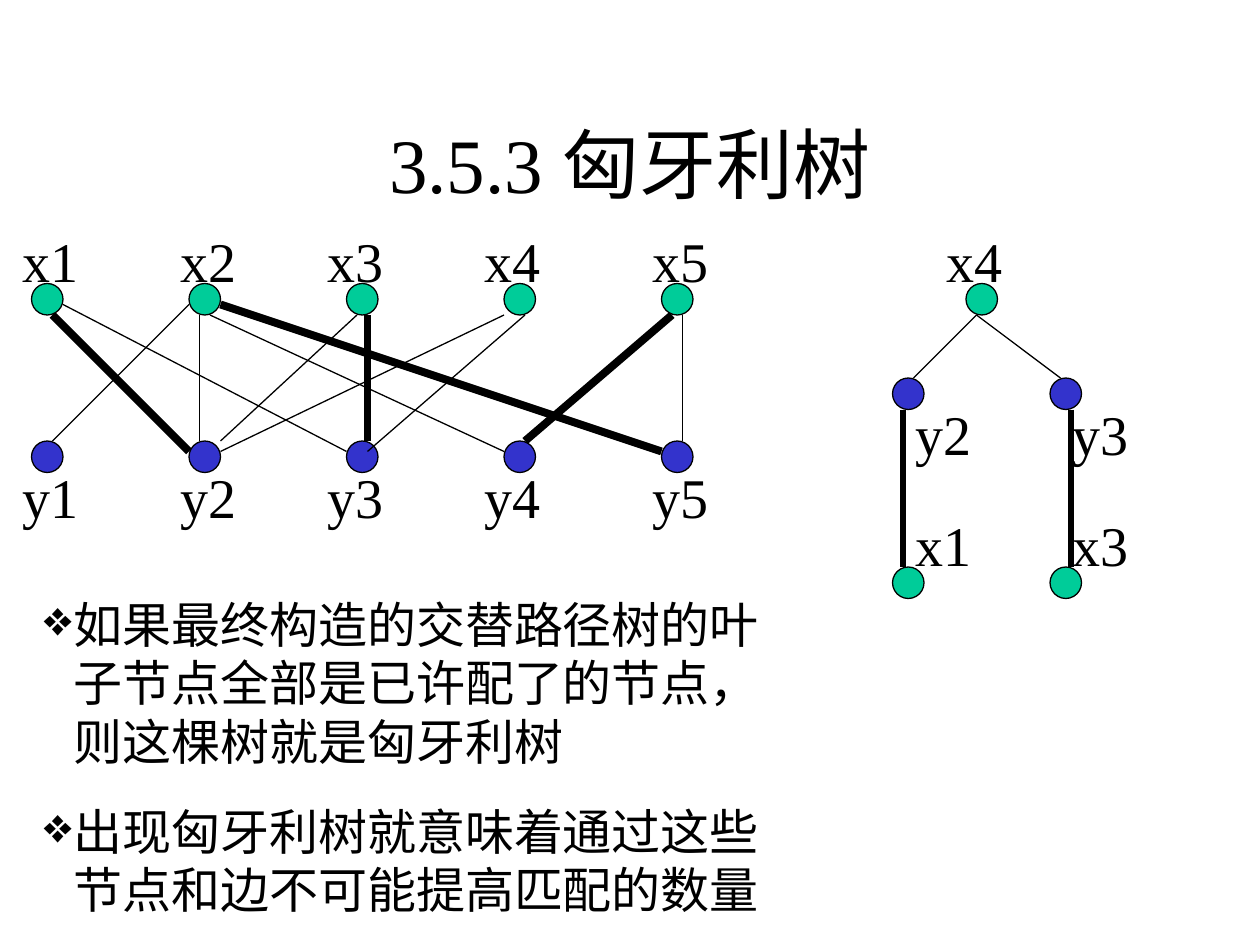
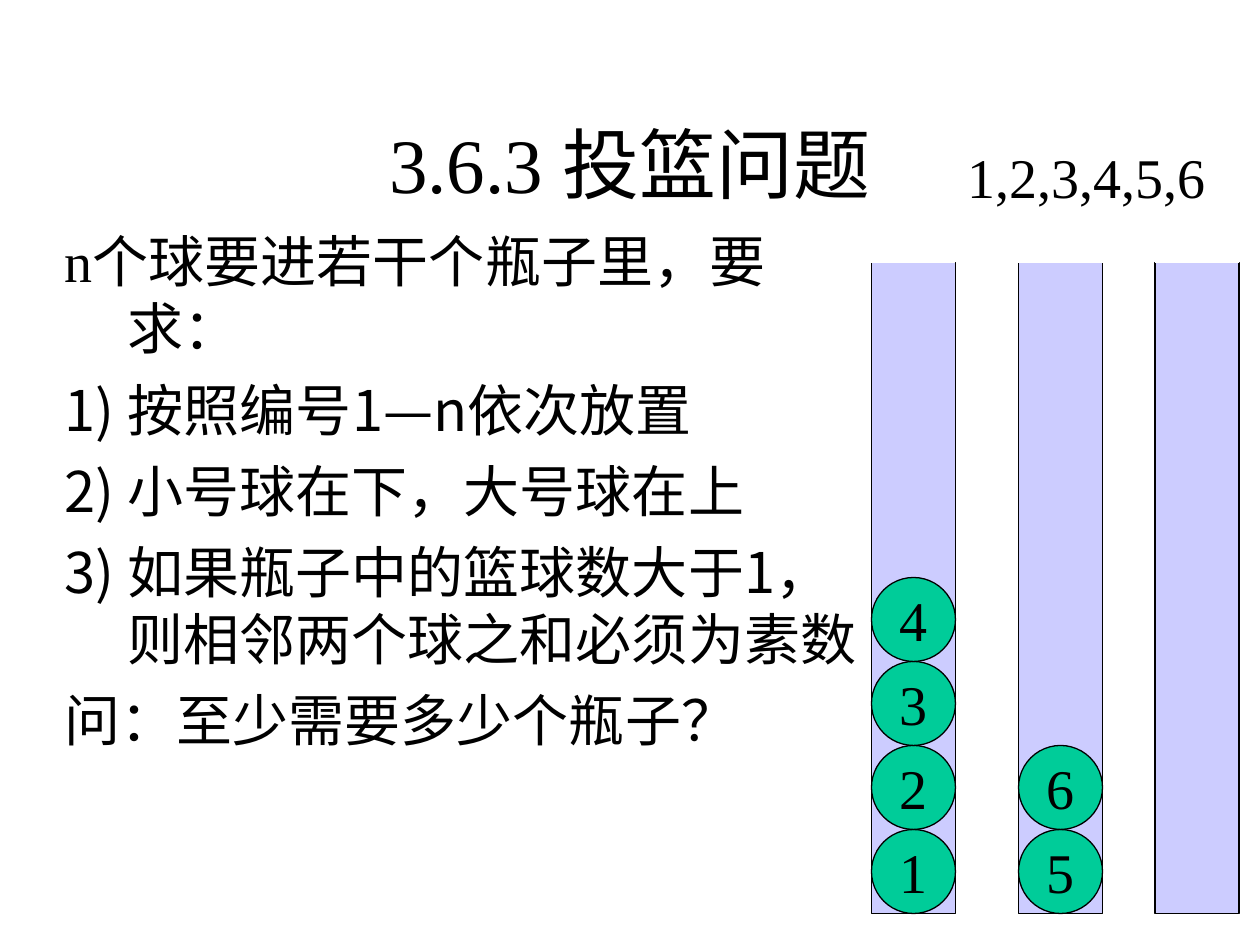
from dataclasses import dataclass

from lxml.etree import SubElement
from pptx import Presentation
from pptx.dml.color import RGBColor
from pptx.enum.shapes import MSO_CONNECTOR, MSO_SHAPE
from pptx.enum.text import MSO_ANCHOR, MSO_AUTO_SIZE, PP_ALIGN
from pptx.oxml.ns import qn
from pptx.util import Pt


@dataclass(frozen=True)
class Theme:
    ink: str = "000000"
    paper: str = "FFFFFF"
    green: str = "00CC99"
    blue: str = "3333CC"
    glass: str = "CCCCFF"
    serif: str = "Times New Roman"
    sans: str = "Noto Sans CJK SC"
    symbol: str = "OpenSymbol"
    title: float = 44
    label: float = 32
    body: float = 28
    leading: float = 1.2
    thin: float = 0.75
    tree_bold: float = 3
    match_bold: float = 4.5


THEME = Theme()

# Content: Hungarian tree
TREE_TITLE = "3.5.3 匈牙利树"
TREE_NOTES = [
    "如果最终构造的交替路径树的叶子节点全部是已许配了的节点，则这棵树就是匈牙利树",
    "出现匈牙利树就意味着通过这些节点和边不可能提高匹配的数量",
]
LABEL_LEFTS = [6, 96, 180, 270, 366]
# Each row: letter, colour, top of nodes, top of labels
GRAPH_ROWS = [("x", THEME.green, 162, 126), ("y", THEME.blue, 252, 261)]
MATCHED_EDGES = [
    (30, 180, 108, 258), (126, 174, 378, 258),
    (210, 180, 210, 252), (384, 180, 300, 252),
]
FREE_EDGES = [
    (36, 174, 198, 258), (108, 174, 30, 252), (120, 180, 288, 258),
    (114, 180, 114, 252), (204, 180, 126, 252), (126, 258, 288, 180),
    (300, 180, 210, 258), (390, 180, 390, 252),
]
# Each node: name, colour, node left and top, label left and top
TREE_NODES = [
    ("x4", THEME.green, 552, 162, 534, 126),
    ("y2", THEME.blue, 510, 216, 516, 225),
    ("y3", THEME.blue, 600, 216, 606, 225),
    ("x1", THEME.green, 510, 324, 516, 288),
    ("x3", THEME.green, 600, 324, 606, 288),
]
TREE_FREE_EDGES = [(558, 180, 522, 216), (558, 180, 606, 216)]
TREE_MATCHED_EDGES = [(516, 234, 516, 324), (612, 234, 612, 324)]

# Content: balls in bottles
BALL_TITLE = "3.6.3 投篮问题"
BALL_SEQUENCE = "1,2,3,4,5,6"
# Each paragraph: text, numbered, font
BALL_RULES = [
    ("n个球要进若干个瓶子里，要求：", False, THEME.serif),
    ("按照编号1—n依次放置", True, THEME.sans),
    ("小号球在下，大号球在上", True, THEME.sans),
    ("如果瓶子中的篮球数大于1，则相邻两个球之和必须为素数", True, THEME.sans),
    ("问：至少需要多少个瓶子？", False, THEME.sans),
]
# Left edge of each bottle and its balls from the bottom up
BOTTLES = [(498, "1234"), (582, "56"), (660, "")]

NODE_SIZE, NODE_LEFT, NODE_STEP = 18, 18, 90
BOTTLE_TOP, BOTTLE_HEIGHT, BALL_SIZE = 150, 372, 48


def points(*values):
    return [Pt(value) for value in values]


def apply(target, formats):
    for name, value in formats.items():
        setattr(target, name, value)


def write(para, text, size, font=THEME.serif, **formats):
    span = para.add_run()
    span.text = text
    apply(span.font, {"size": Pt(size), "name": font})
    span.font.color.rgb = RGBColor.from_string(THEME.ink)
    marks = span._r.get_or_add_rPr()
    marks.set("lang", "zh-CN")
    SubElement(marks, qn("a:ea")).set("typeface", THEME.sans)
    apply(para, {"line_spacing": Pt(size * THEME.leading), **formats})


def hang(para, indent, *marks):
    settings = para._p.get_or_add_pPr()
    for name, value in (("marL", Pt(indent)), ("indent", -Pt(indent)), ("hangingPunct", 0)):
        settings.set(name, str(value))
    for tag, name, value in marks:
        SubElement(settings, qn(tag)).set(name, value)


def add_text(shapes, place, **formats):
    box = shapes.add_textbox(*points(*place))
    apply(box.text_frame, {"word_wrap": True,
                           "auto_size": MSO_AUTO_SIZE.SHAPE_TO_FIT_TEXT, **formats})
    return box.text_frame


def add_label(shapes, text, left, top, width=54):
    frame = add_text(shapes, (left, top, width, 46))
    write(frame.paragraphs[0], text, THEME.label)


def add_title(shapes, text):
    frame = add_text(shapes, (54, 48, 612, 90), auto_size=MSO_AUTO_SIZE.NONE,
                     vertical_anchor=MSO_ANCHOR.MIDDLE)
    write(frame.paragraphs[0], text, THEME.title, alignment=PP_ALIGN.CENTER)


def add_figure(shapes, kind, place, colour):
    figure = shapes.add_shape(kind, *points(*place))
    figure.shadow.inherit = False
    figure.fill.solid()
    figure.fill.fore_color.rgb = RGBColor.from_string(colour)
    figure.line.color.rgb = RGBColor.from_string(THEME.ink)
    figure.line.width = Pt(THEME.thin)
    return figure


def add_node(shapes, left, top, colour):
    add_figure(shapes, MSO_SHAPE.OVAL, (left, top, NODE_SIZE, NODE_SIZE), colour)


def add_edges(shapes, edges, weight=THEME.thin, colour=THEME.ink):
    for ends in edges:
        edge = shapes.add_connector(MSO_CONNECTOR.STRAIGHT, *points(*ends))
        edge.line.color.rgb = RGBColor.from_string(colour)
        edge.line.width = Pt(weight)
        SubElement(edge._element.spPr, qn("a:effectLst"))


def build_tree_page(shapes):
    add_title(shapes, TREE_TITLE)
    # Bipartite graph
    for letter, colour, node_top, label_top in GRAPH_ROWS:
        for index, label_left in enumerate(LABEL_LEFTS):
            add_node(shapes, NODE_LEFT + index * NODE_STEP, node_top, colour)
            add_label(shapes, f"{letter}{index + 1}", label_left, label_top)
    add_edges(shapes, FREE_EDGES)
    add_edges(shapes, MATCHED_EDGES, THEME.match_bold)
    # Alternating tree
    for name, colour, left, top, label_left, label_top in TREE_NODES:
        add_node(shapes, left, top, colour)
        add_label(shapes, name, label_left, label_top)
    add_edges(shapes, TREE_FREE_EDGES)
    add_edges(shapes, TREE_MATCHED_EDGES, THEME.tree_bold)
    # Notes
    frame = add_text(shapes, (18, 336, 444, 193))
    for index, note in enumerate(TREE_NOTES):
        para = frame.add_paragraph() if index else frame.paragraphs[0]
        hang(para, 17, ("a:buFont", "typeface", THEME.symbol), ("a:buChar", "char", "❖"))
        write(para, note, THEME.body, space_before=Pt(17.5 if index else 0))


def build_ball_page(shapes):
    add_title(shapes, BALL_TITLE)
    # Rules
    frame = add_text(shapes, (30, 126, 468, 270))
    for index, (rule, numbered, font) in enumerate(BALL_RULES):
        para = frame.add_paragraph() if index else frame.paragraphs[0]
        hang(para, 36, *[("a:buAutoNum", "type", "arabicParenR")] * numbered)
        write(para, rule, THEME.label, font, space_before=Pt(8 if index else 0))
    # Bottles with open tops, then their balls
    for left, balls in BOTTLES:
        bottle = shapes.add_group_shape().shapes
        add_figure(bottle, MSO_SHAPE.RECTANGLE,
                   (left, BOTTLE_TOP, BALL_SIZE, BOTTLE_HEIGHT), THEME.glass)
        add_edges(bottle, [(left, BOTTLE_TOP, left + BALL_SIZE, BOTTLE_TOP)],
                  colour=THEME.paper)
        for level, number in enumerate(balls, 1):
            top = BOTTLE_TOP + BOTTLE_HEIGHT - level * BALL_SIZE
            ball = add_figure(shapes, MSO_SHAPE.OVAL,
                              (left, top, BALL_SIZE, BALL_SIZE), THEME.green)
            apply(ball.text_frame, {"word_wrap": False,
                                    "vertical_anchor": MSO_ANCHOR.MIDDLE})
            write(ball.text_frame.paragraphs[0], number, THEME.label,
                  alignment=PP_ALIGN.CENTER)
    add_label(shapes, BALL_SEQUENCE, 546, 78, 162)


def main():
    deck = Presentation()
    apply(deck, {"slide_width": Pt(720), "slide_height": Pt(540)})
    for build in (build_tree_page, build_ball_page):
        page = deck.slides.add_slide(deck.slide_layouts[6])
        build(page.shapes)
    deck.save("out.pptx")


if __name__ == "__main__":
    main()
